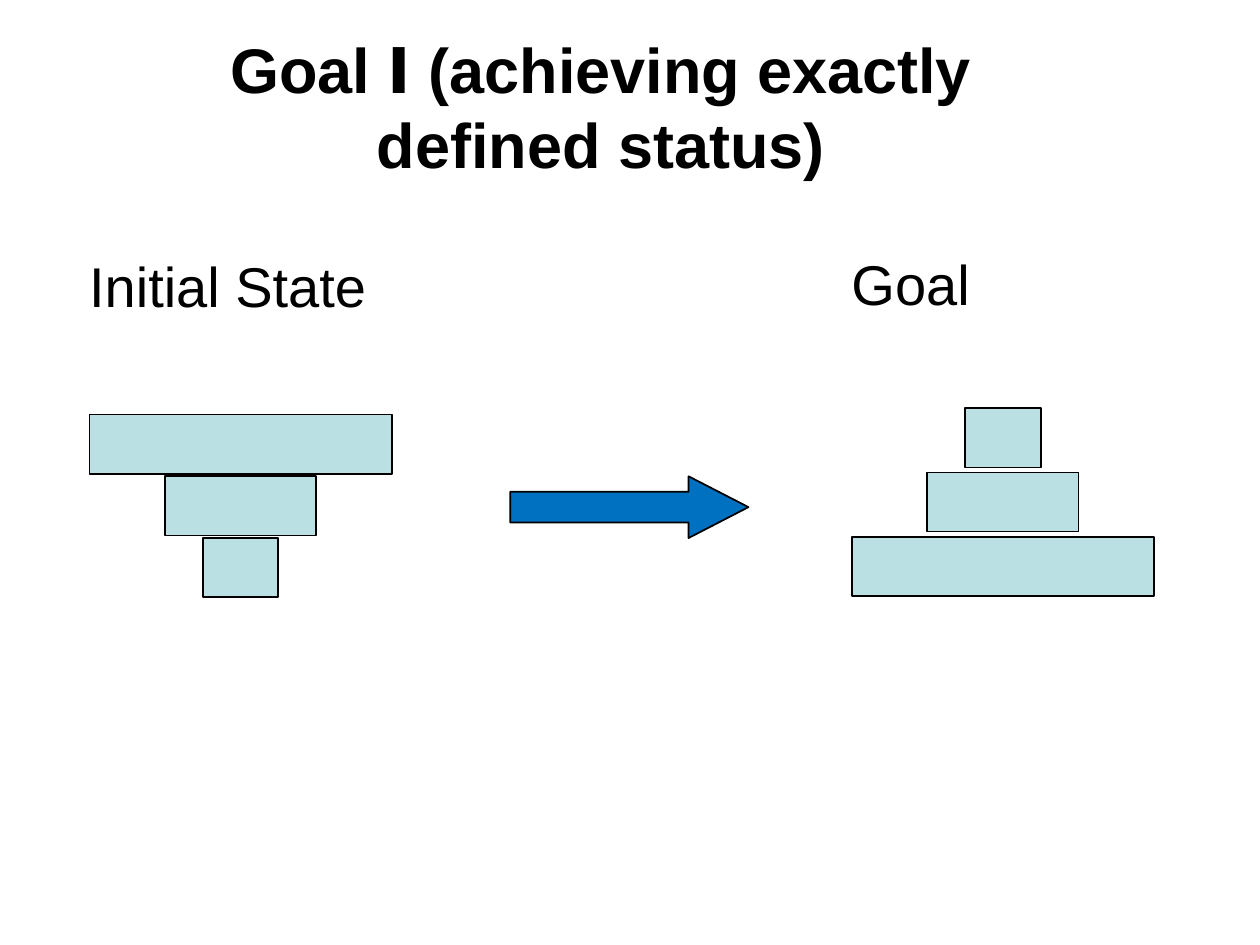
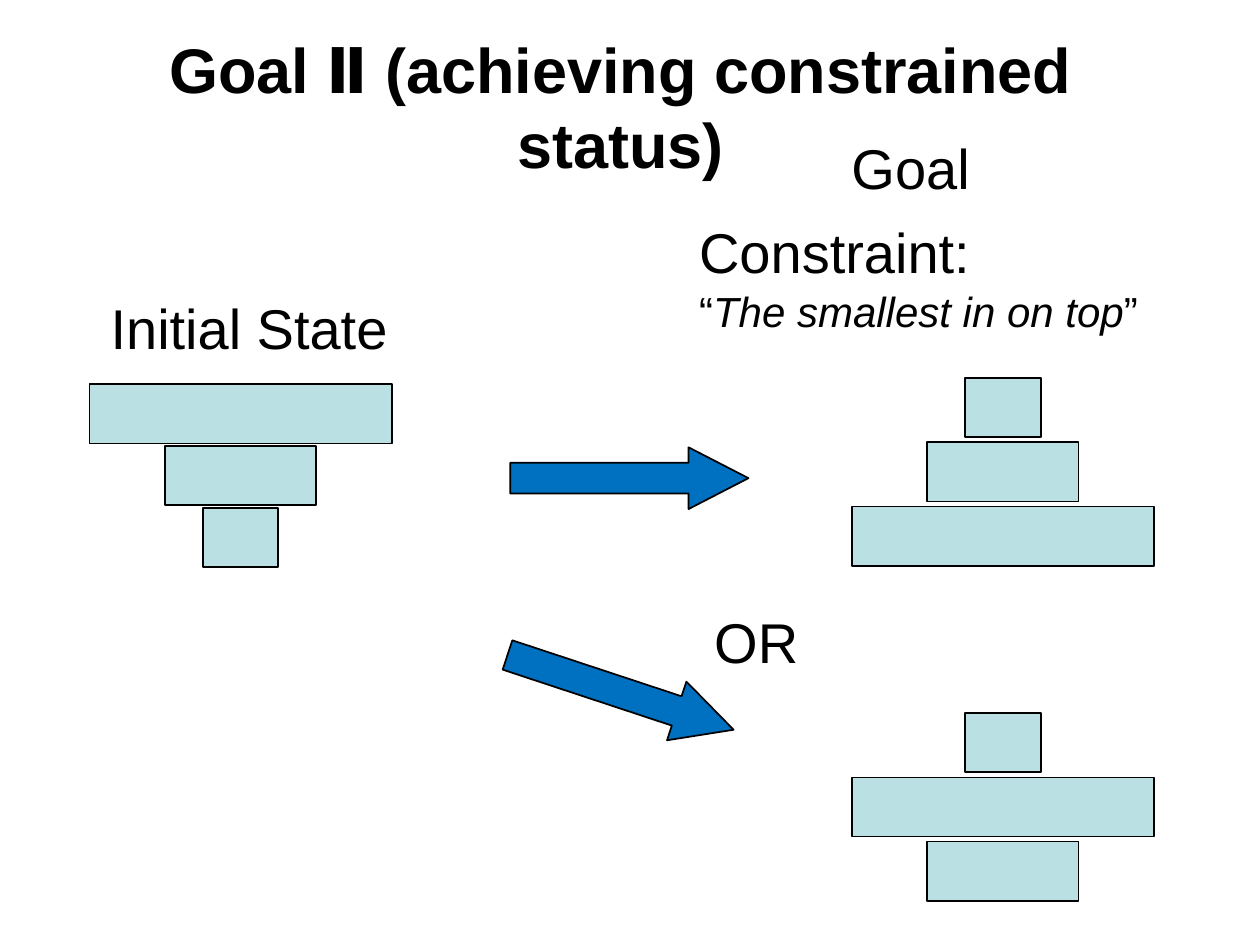
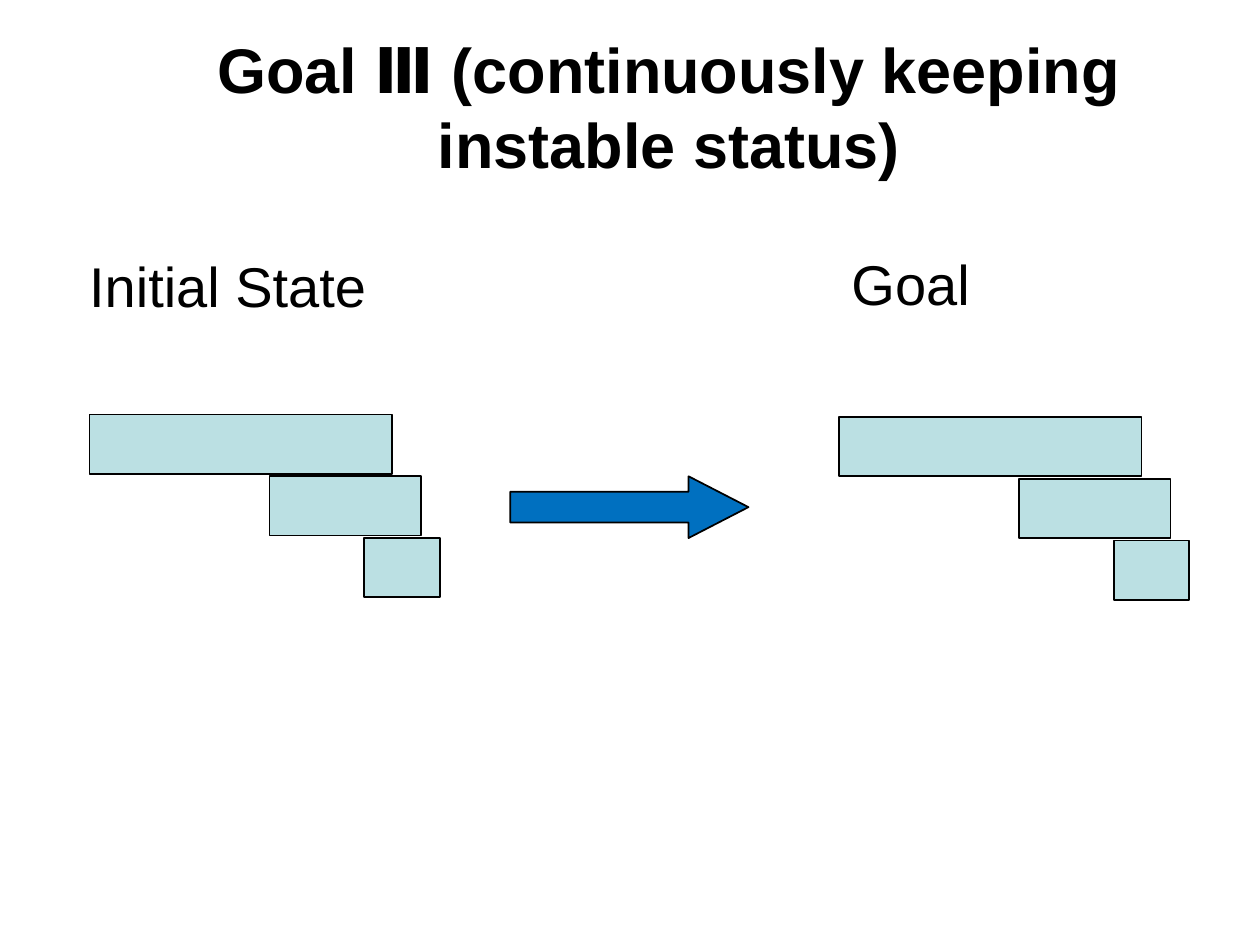
import pptx
import pptx.dml.color
import pptx.enum.shapes
import pptx.enum.text
import pptx.util
from pptx.util import Inches

FONT = "Arial"
BLACK = "000000"
BLOCK_FILL = "BBE0E3"
ARROW_FILL = "0070C0"
BLOCK_HEIGHT = 0.47
LARGE, MEDIUM, SMALL = 2.4, 1.2, 0.6
HANGING = [LARGE, MEDIUM, SMALL]
TOWER = [SMALL, MEDIUM, LARGE]
MIXED = [SMALL, LARGE, MEDIUM]
CENTERED = [0, 0, 0]
STAIRCASE = [0, 0.83, 1.28]
RECTANGLE = pptx.enum.shapes.MSO_SHAPE.RECTANGLE
RIGHT_ARROW = pptx.enum.shapes.MSO_SHAPE.RIGHT_ARROW

# title: text, left, width
# stacks: centre of the first block, top, step, block widths, centre offsets
# arrows: left, top, rotation
# labels: left, top, width, height, paragraphs of (text, size, italic) runs
slides = [
    {
        "title": ("Goal Ⅰ (achieving exactly defined status)", 1.46, 6.62),
        "stacks": [(1.91, 3.29, 0.49, HANGING, CENTERED),
                   (7.96, 3.24, 0.51, TOWER, CENTERED)],
        "arrows": [(4.05, 3.78, 0)],
        "labels": [(0.61, 1.95, 2.4, 0.64, [[("Initial State", 32, False)]]),
                   (6.66, 1.93, 2.4, 0.64, [[("Goal", 32, False)]])],
    },
    {
        "title": ("Goal Ⅱ (achieving constrained status)", 0.49, 8.87),
        "stacks": [(1.91, 3.05, 0.49, HANGING, CENTERED),
                   (7.96, 3.0, 0.51, TOWER, CENTERED),
                   (7.96, 5.66, 0.51, MIXED, CENTERED)],
        "arrows": [(4.05, 3.55, 0), (3.98, 5.25, 18.3)],
        "labels": [(0.78, 2.28, 2.4, 0.64, [[("Initial State", 32, False)]]),
                   (6.66, 1.01, 2.4, 0.64, [[("Goal", 32, False)]]),
                   (5.45, 1.68, 4.43, 1.04, [
                       [("Constraint:", 32, False)],
                       [("“", 24, False), ("The smallest in on top", 24, True),
                        ("”", 24, False)]]),
                   (5.57, 4.77, 4.43, 0.64, [[("OR", 32, False)]])],
    },
    {
        "title": ("Goal Ⅲ (continuously keeping instable status)", 1.46, 7.7),
        "stacks": [(1.91, 3.29, 0.49, HANGING, STAIRCASE),
                   (7.86, 3.31, 0.49, HANGING, STAIRCASE)],
        "arrows": [(4.05, 3.78, 0)],
        "labels": [(0.61, 1.95, 2.4, 0.64, [[("Initial State", 32, False)]]),
                   (6.66, 1.93, 2.4, 0.64, [[("Goal", 32, False)]])],
    },
]


def add_outlined(page, kind, left, top, width, height, fill):
    shape = page.shapes.add_shape(
        kind, Inches(left), Inches(top), Inches(width), Inches(height))
    shape.shadow.inherit = False
    shape.fill.solid()
    shape.fill.fore_color.rgb = pptx.dml.color.RGBColor.from_string(fill)
    shape.line.color.rgb = pptx.dml.color.RGBColor.from_string(BLACK)
    shape.line.width = pptx.util.Pt(1)
    return shape


def add_span(para, text, size, bold=False, italic=False):
    span = para.add_run()
    span.text = text
    span.font.name = FONT
    span.font.size = pptx.util.Pt(size)
    span.font.bold = bold
    span.font.italic = italic
    span.font.color.rgb = pptx.dml.color.RGBColor.from_string(BLACK)


deck = pptx.Presentation()
deck.slide_width = Inches(10)
deck.slide_height = Inches(7.5)

for content in slides:
    page = deck.slides.add_slide(deck.slide_layouts.get_by_name("Title Only"))

    text, left, width = content["title"]
    title = page.shapes.title
    title.left, title.top = Inches(left), Inches(0.19)
    title.width, title.height = Inches(width), Inches(0.83)
    title.text_frame.word_wrap = True
    title.text_frame.auto_size = pptx.enum.text.MSO_AUTO_SIZE.NONE
    title.text_frame.vertical_anchor = pptx.enum.text.MSO_ANCHOR.TOP
    para = title.text_frame.paragraphs[0]
    para.alignment = pptx.enum.text.PP_ALIGN.CENTER
    add_span(para, text, 36, bold=True)

    for center, top, step, widths, offsets in content["stacks"]:
        for level, (width, offset) in enumerate(zip(widths, offsets)):
            add_outlined(page, RECTANGLE, center + offset - width / 2,
                         top + level * step, width, BLOCK_HEIGHT, BLOCK_FILL)

    for left, top, rotation in content["arrows"]:
        arrow = add_outlined(page, RIGHT_ARROW, left, top, 1.89, 0.49, ARROW_FILL)
        arrow.adjustments[1] = 0.97
        arrow.rotation = rotation

    for left, top, width, height, lines in content["labels"]:
        box = page.shapes.add_textbox(
            Inches(left), Inches(top), Inches(width), Inches(height))
        frame = box.text_frame
        frame.word_wrap = True
        frame.auto_size = pptx.enum.text.MSO_AUTO_SIZE.SHAPE_TO_FIT_TEXT
        for number, line in enumerate(lines):
            para = frame.add_paragraph() if number else frame.paragraphs[0]
            for text, size, italic in line:
                add_span(para, text, size, italic=italic)

deck.save("out.pptx")
